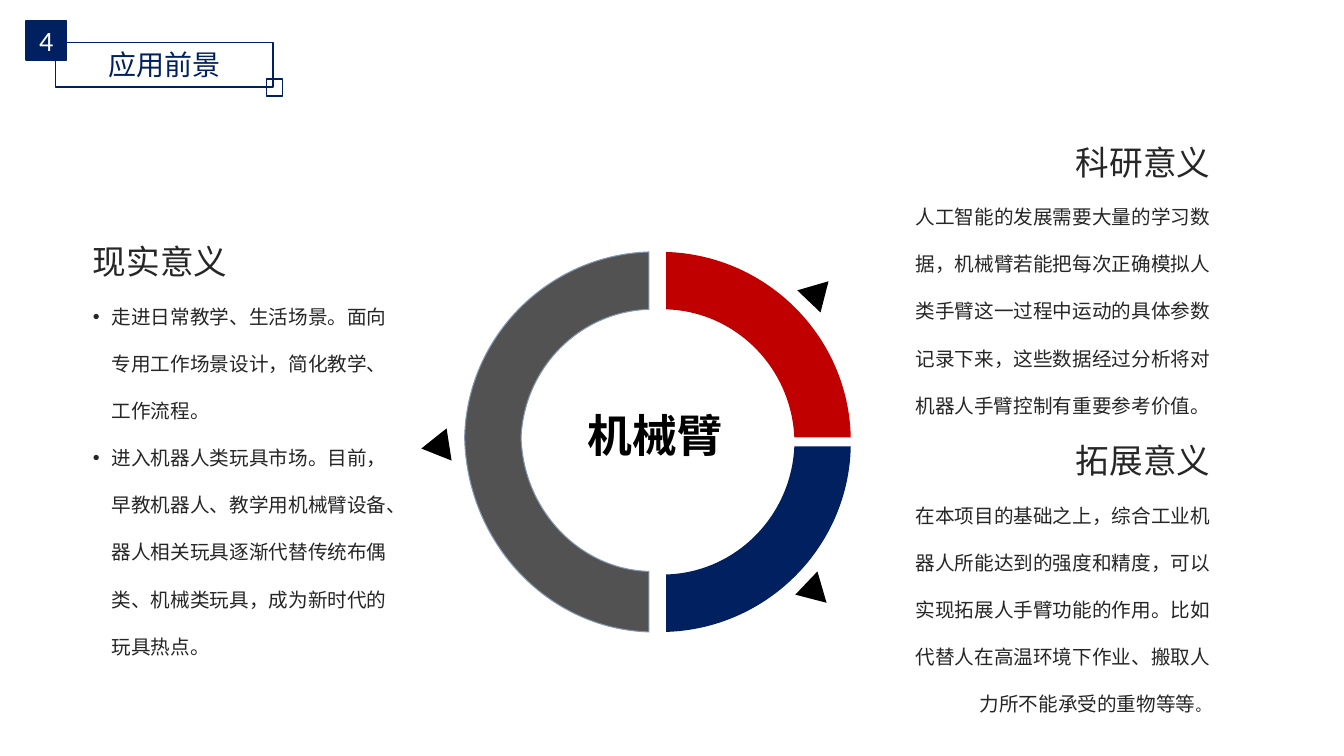
"""Build the slide on the prospects of the robotic arm."""
from lxml import etree
from pptx import Presentation
from pptx import util as u
from pptx.dml.color import RGBColor
from pptx.enum import shapes, text
from pptx.oxml import ns

COLOURS = {"navy": "002060", "red": "C00000", "grey": "525252", "edge": "8497B0",
           "ink": "262626", "black": "000000", "white": "FFFFFF"}
CJK = "Noto Sans CJK SC"
ALIGN = text.PP_ALIGN


def colour(name):
    return RGBColor.from_string(COLOURS[name])


def write(paragraph, words, *, size=14, font=CJK, ink="ink", bold=False,
          align=ALIGN.LEFT, spacing=1.0, bullet=False):
    paragraph.alignment = align
    paragraph.line_spacing = spacing
    paragraph.space_before = paragraph.space_after = u.Pt(0)
    properties = paragraph._p.get_or_add_pPr()
    indent = u.Pt(13.5) if bullet else 0
    properties.set("marL", str(indent))
    properties.set("indent", str(-indent))
    for tag in ("a:buNone", "a:buChar"):
        for old in properties.findall(ns.qn(tag)):
            properties.remove(old)
    mark = etree.SubElement(properties, ns.qn("a:buChar" if bullet else "a:buNone"))
    if bullet:
        mark.set("char", "•")
    run = paragraph.add_run()
    run.text = words
    run.font.size, run.font.bold = u.Pt(size), bold
    run.font.color.rgb = colour(ink)
    run.font.name = font
    east_asian = etree.SubElement(run._r.get_or_add_rPr(), ns.qn("a:ea"))
    east_asian.set("typeface", CJK)


class SlideBuilder:
    def __init__(self, slide, line_width=1):
        self.slide = slide
        self.line_width = line_width

    def paint(self, shape, fill=None, line=None, width=None):
        if fill:
            shape.fill.solid()
            shape.fill.fore_color.rgb = colour(fill)
        else:
            shape.fill.background()
        if line:
            shape.line.color.rgb = colour(line)
            shape.line.width = u.Pt(width or self.line_width)
        else:
            shape.line.fill.background()

    def placeholder(self, index, left, top, width, height):
        shape = next(p for p in self.slide.placeholders if p.placeholder_format.idx == index)
        shape.left, shape.top = u.Pt(left), u.Pt(top)
        shape.width, shape.height = u.Pt(width), u.Pt(height)
        frame = shape.text_frame
        frame.word_wrap = True
        frame.auto_size = text.MSO_AUTO_SIZE.NONE
        frame.vertical_anchor = text.MSO_ANCHOR.TOP
        return shape

    def title(self, words, *bounds):
        shape = self.placeholder(0, *bounds)
        self.paint(shape, line="navy")
        shape.text_frame.vertical_anchor = text.MSO_ANCHOR.MIDDLE
        write(shape.text_frame.paragraphs[0], words, size=20, ink="navy", align=ALIGN.CENTER)

    def section(self, index, bounds, heading, items, *, align=ALIGN.LEFT, bullet=False):
        frame = self.placeholder(index, *bounds).text_frame
        write(frame.paragraphs[0], heading, size=24, align=align, spacing=2.0)
        for item in items:
            write(frame.add_paragraph(), item, align=align, spacing=2.0, bullet=bullet)
        return frame

    def box(self, left, top, width, height, fill=None):
        shape = self.slide.shapes.add_shape(
            shapes.MSO_SHAPE.RECTANGLE, u.Pt(left), u.Pt(top), u.Pt(width), u.Pt(height))
        shape.shadow.inherit = False
        self.paint(shape, fill, "navy")
        return shape

    def label(self, words, left, top, width, height, **style):
        shape = self.slide.shapes.add_textbox(u.Pt(left), u.Pt(top), u.Pt(width), u.Pt(height))
        shape.text_frame.word_wrap = True
        write(shape.text_frame.paragraphs[0], words, align=ALIGN.CENTER, **style)

    def outline(self, start, segments, fill, line=None, width=None):
        """Draw a closed outline; one point makes a line and three make a curve."""
        builder = self.slide.shapes.build_freeform(*map(u.Pt, start))
        builder.add_line_segments(
            [(u.Pt(x), u.Pt(y)) for segment in segments for x, y in segment], close=True)
        shape = builder.convert_to_shape()
        steps = iter(list(shape._element.iter(ns.qn("a:lnTo"))))
        for segment in segments:
            lines = [next(steps) for _ in segment]
            if len(lines) == 3:
                bezier = etree.Element(ns.qn("a:cubicBezTo"))
                lines[0].addprevious(bezier)
                for step in lines:
                    bezier.append(step[0])
                    step.getparent().remove(step)
        shape.shadow.inherit = False
        self.paint(shape, fill, line, width)


def add_ring(builder):
    for first, second, third in (((591.8, 200.9), (586.1, 223.2), (569.5, 207.4)),
                                 ((301, 320.4), (322.6, 329), (319, 306)),
                                 ((583.9, 408.2), (590.4, 430.6), (568.1, 424.8))):
        builder.outline(first, [[second], [third]], "black")
    start = (475.9, 180)
    quarter = [[(547.9, 182.2), (606.2, 240.5), (607.7, 312.5)],
               [(567.4, 312.5)],
               [(565.2, 262.8), (525.6, 222.5), (475.9, 221)]]
    mirrored = [[(x, 631.4 - y) for x, y in segment] for segment in quarter]
    builder.outline((start[0], 631.4 - start[1]), mirrored, "navy")
    builder.outline(start, quarter, "red")
    half = [[(463.5, 221)],
            [(414, 222.5), (374.4, 262.8), (372.2, 312.5)],
            [(373.7, 364.3), (414, 406.8), (463.5, 408.2)],
            [(463.5, 451.4)],
            [(391.7, 449.3), (333.4, 388.1), (331.9, 312.5)],
            [(333.4, 240.5), (391.7, 182.2), (463.5, 180)]]
    builder.outline((463.5, 180), half, "grey", "edge", 0.75)
    builder.label("机械臂", 328.3, 288, 279.4, 46, size=32, font="Arial",
                  ink="black", bold=True)


def main():
    presentation = Presentation()
    presentation.slide_width, presentation.slide_height = u.Pt(960), u.Pt(540)
    slide = presentation.slides.add_slide(presentation.slide_layouts.get_by_name("Comparison"))
    builder = SlideBuilder(slide)

    builder.title("应用前景", 39.6, 30.2, 155.5, 32)
    add_ring(builder)
    builder.section(2, (59.1, 139.9, 232.6, 331.9), "现实意义", [
        "走进日常教学、生活场景。面向专用工作场景设计，简化教学、工作流程。",
        "进入机器人类玩具市场。目前，早教机器人、教学用机械臂设备、器人相关玩具逐渐代替"
        "传统布偶类、机械类玩具，成为新时代的玩具热点。"], bullet=True)
    builder.section(4, (639.1, 68.6, 232.6, 229.7), "科研意义", [
        "人工智能的发展需要大量的学习数据，机械臂若能把每次正确模拟人类手臂这一过程中"
        "运动的具体参数记录下来，这些数据经过分析将对机器人手臂控制有重要参考价值。"],
        align=ALIGN.RIGHT)
    expansion = builder.section(1, (639.1, 281.9, 232.6, 229.7), "拓展意义", [
        "在本项目的基础之上，综合工业机器人所能达到的强度和精度，可以实现拓展人手臂功能的"
        "作用。比如代替人在高温环境下作业、搬取人力所不能承受的重物等等"], align=ALIGN.RIGHT)
    write(expansion.paragraphs[-1], "。", size=10.5, align=ALIGN.RIGHT, spacing=2.0)

    badge = builder.box(18.7, 14.9, 28.8, 28.1, "navy")
    badge.text_frame.vertical_anchor = text.MSO_ANCHOR.MIDDLE
    write(badge.text_frame.paragraphs[0], "4", size=20, font="Calibri", ink="white",
          align=ALIGN.CENTER)
    builder.box(190.5, 56.5, 11.5, 12.2)

    for placeholder in list(slide.placeholders):
        if not placeholder.text_frame.text:
            placeholder.element.getparent().remove(placeholder.element)
    presentation.save("out.pptx")


if __name__ == "__main__":
    main()
